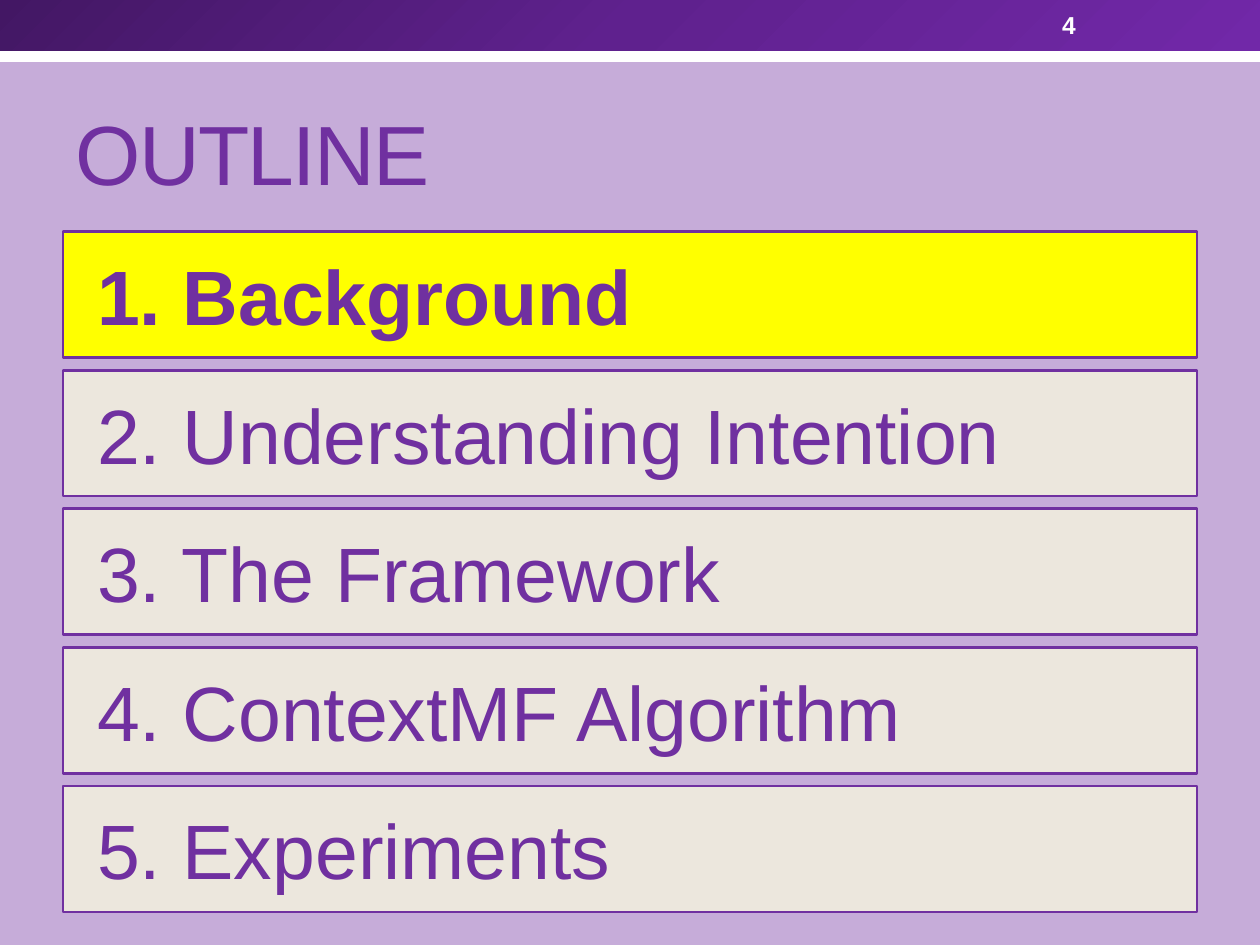
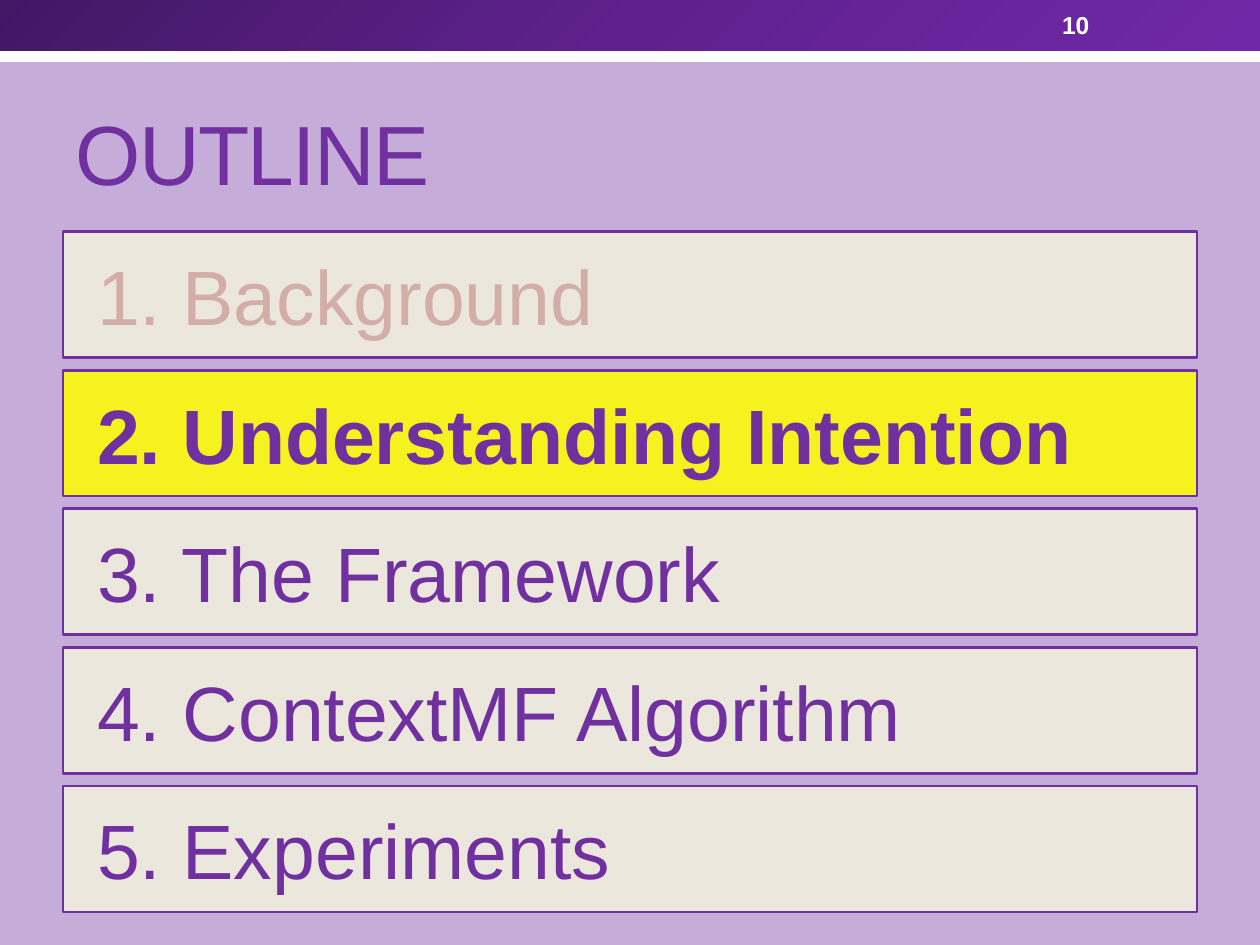
import pptx
import pptx.util
import pptx.dml.color
import pptx.enum.shapes
import pptx.enum.text
import pptx.oxml.ns
import lxml.etree

Cm = pptx.util.Cm
Pt = pptx.util.Pt
RECT = pptx.enum.shapes.MSO_SHAPE.RECTANGLE
ANCHOR = pptx.enum.text.MSO_ANCHOR
LEFT = pptx.enum.text.PP_ALIGN.LEFT
qn = pptx.oxml.ns.qn

FONT = "Arial"
PURPLE = "7030A0"
LILAC = "C6ACD9"
CREAM = "F3F2DE"
YELLOW = "FFFF00"
FADED = "D3AEA8"
WHITE = "FFFFFF"
BAND = [(0, "431764"), (50, "5F218E"), (100, "7128A8")]

TOPICS = [
    "Background",
    "Understanding Intention",
    "The Framework",
    "ContextMF Algorithm",
    "Experiments",
]
WIDTH = 25.4
EDGE = 1.27
INNER = WIDTH - 2 * EDGE
TOP = 4.67
HEIGHT = 2.54
PITCH = 2.794


def paint(target, color):
    target.rgb = pptx.dml.color.RGBColor.from_string(color)


def fill(shape, color, alpha=100):
    shape.fill.solid()
    paint(shape.fill.fore_color, color)
    if alpha < 100:
        tone = shape.fill._xPr.find(qn("a:solidFill"))[0]
        lxml.etree.SubElement(tone, qn("a:alpha"), val=str(alpha * 1000))


def blend(shape, stops):
    shape.fill.gradient()
    shape.fill.gradient_angle = 315
    group = shape.fill._xPr.find(qn("a:gradFill")).find(qn("a:gsLst"))
    for old in list(group):
        group.remove(old)
    for place, color in stops:
        stop = lxml.etree.SubElement(group, qn("a:gs"), pos=str(place * 1000))
        lxml.etree.SubElement(stop, qn("a:srgbClr"), val=color)


def write(shape, text, size, color, bold=False, anchor=ANCHOR.MIDDLE):
    frame = shape.text_frame
    frame.word_wrap = True
    frame.vertical_anchor = anchor
    frame.text = text
    para = frame.paragraphs[0]
    para.alignment = LEFT
    para.font.name = FONT
    para.font.size = Pt(size)
    para.font.bold = bold
    paint(para.font.color, color)
    return para


def add_box(slide, left, top, width, height):
    box = slide.shapes.add_shape(RECT, Cm(left), Cm(top), Cm(width), Cm(height))
    box.shadow.inherit = False
    box.line.fill.background()
    return box


def add_bands(slide, number):
    fill(add_box(slide, 0, 0.61, WIDTH, 0.64), WHITE)
    blend(add_box(slide, 0, 0, WIDTH, 1.02), BAND)
    label = slide.shapes.add_textbox(Cm(21.16), Cm(0.05), Cm(2.97), Cm(0.91))
    write(label, str(number), 14, WHITE, bold=True)


def add_title(slide, text):
    title = slide.shapes.title
    title.left, title.top = Cm(EDGE), Cm(1.47)
    title.width, title.height = Cm(INNER), Cm(2.74)
    para = write(title, text, 48, PURPLE, anchor=ANCHOR.BOTTOM)
    para.runs[0]._r.get_or_add_rPr().set("spc", "-100")


def add_topic(slide, index, color, alpha, ink, bold):
    bar = add_box(slide, EDGE, TOP + index * PITCH, INNER, HEIGHT)
    fill(bar, color, alpha)
    paint(bar.line.color, PURPLE)
    bar.line.width = Pt(1.5)
    bar.text_frame.margin_left = Cm(0.69)
    write(bar, f"{index + 1}. {TOPICS[index]}", 44, ink, bold)


def add_outline(deck, number, current, glow):
    slide = deck.slides.add_slide(deck.slide_layouts[5])
    add_bands(slide, number)
    add_title(slide, "OUTLINE")
    for index in range(len(TOPICS)):
        active = index == current
        add_topic(
            slide,
            index,
            YELLOW if active else CREAM,
            glow if active else 85,
            FADED if index < current else PURPLE,
            active,
        )


def main():
    deck = pptx.Presentation()
    deck.slide_width, deck.slide_height = Cm(WIDTH), Cm(19.05)
    back = deck.slide_master.background.fill
    back.solid()
    paint(back.fore_color, LILAC)
    add_outline(deck, 4, 0, 100)
    add_outline(deck, 10, 1, 85)
    deck.save("out.pptx")


if __name__ == "__main__":
    main()
